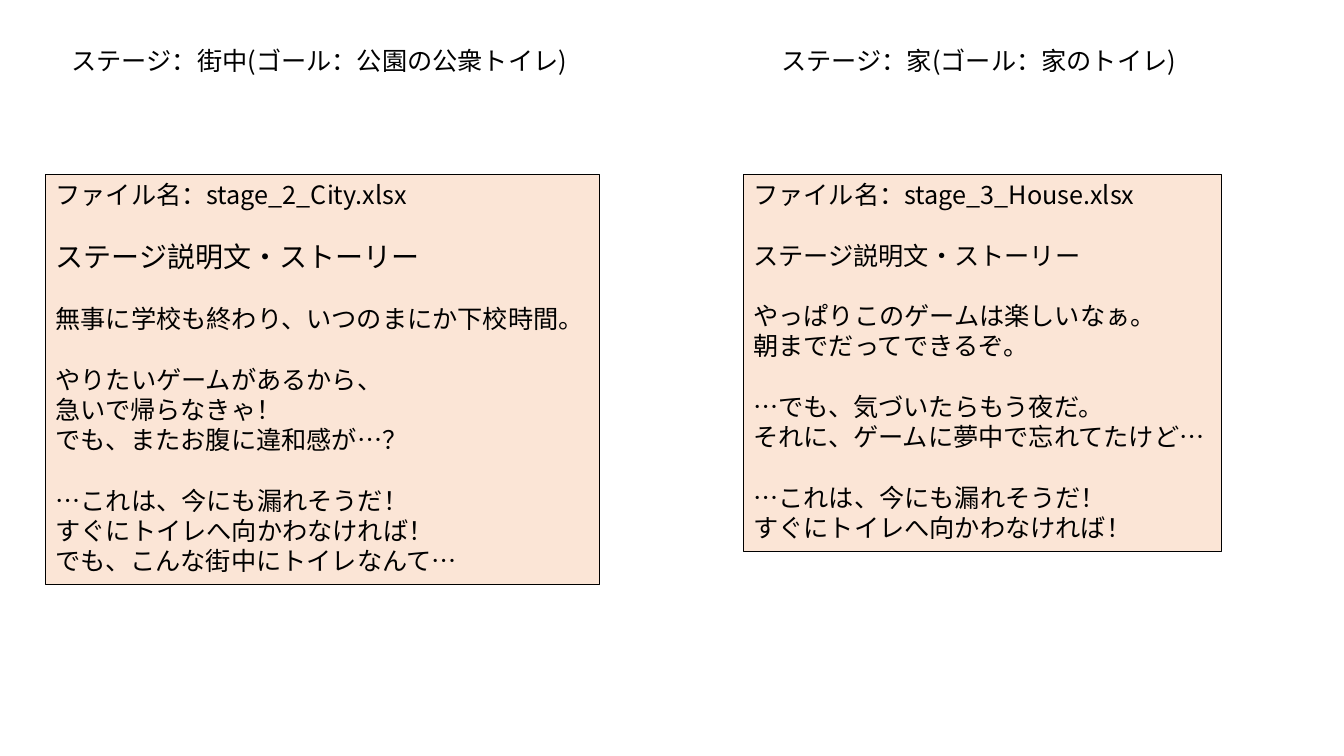
from pptx import Presentation, util as u
from pptx.dml.color import RGBColor
from pptx.enum import text
from pptx.oxml.ns import qn
from lxml import etree

FONT = "Noto Sans CJK JP"
INK, PEACH = "000000", "FBE5D6"
SIZE, LEAD = 18, 1.2

# Each story is a list of blocks; a block is (size, lines).
STAGES = [
    {
        "head": "ステージ：街中(ゴール：公園の公衆トイレ)",
        "head_at": (0.61, 0.4, 5.19, 0.4),
        "box_at": (0.45, 1.73, 5.5, 4.07),
        "story": [
            (SIZE, ["ファイル名：stage_2_City.xlsx"]),
            (20, ["ステージ説明文・ストーリー"]),
            (SIZE, ["無事に学校も終わり、いつのまにか下校時間。"]),
            (SIZE, ["やりたいゲームがあるから、",
                    "急いで帰らなきゃ！",
                    "でも、またお腹に違和感が…？"]),
            (SIZE, ["…これは、今にも漏れそうだ！",
                    "すぐにトイレへ向かわなければ！",
                    "でも、こんな街中にトイレなんて…"]),
        ],
    },
    {
        "head": "ステージ：家(ゴール：家のトイレ)",
        "head_at": (7.65, 0.4, 4.18, 0.4),
        "box_at": (7.37, 1.73, 4.75, 3.74),
        "story": [
            (SIZE, ["ファイル名：stage_3_House.xlsx"]),
            (SIZE, ["ステージ説明文・ストーリー"]),
            (SIZE, ["やっぱりこのゲームは楽しいなぁ。",
                    "朝までだってできるぞ。"]),
            (SIZE, ["…でも、気づいたらもう夜だ。",
                    "それに、ゲームに夢中で忘れてたけど…"]),
            (SIZE, ["…これは、今にも漏れそうだ！",
                    "すぐにトイレへ向かわなければ！"]),
        ],
    },
]


def color(code):
    return RGBColor.from_string(code)


def place(shape, at):
    shape.left, shape.top, shape.width, shape.height = map(u.Inches, at)


def write(shape, blocks):
    """Fill the shape with blocks of lines, one line's height between blocks."""
    frame = shape.text_frame
    frame.word_wrap = True
    frame.auto_size = text.MSO_AUTO_SIZE.NONE
    frame.vertical_anchor = text.MSO_ANCHOR.TOP
    rows = [(line, size, i > 0 and j == 0)
            for i, (size, lines) in enumerate(blocks)
            for j, line in enumerate(lines)]
    for n, (line, size, gap) in enumerate(rows):
        para = frame.add_paragraph() if n else frame.paragraphs[0]
        para.alignment = text.PP_ALIGN.LEFT
        para.line_spacing = u.Pt(size * LEAD)
        para.space_before = u.Pt(SIZE * LEAD if gap else 0)
        para.space_after = u.Pt(0)
        props = para._p.get_or_add_pPr()
        props.set("marL", "0")
        props.set("indent", "0")
        etree.SubElement(props, qn("a:buNone"))
        run = para.add_run()
        run.text = line
        font = run.font
        font.name, font.size, font.bold = FONT, u.Pt(size), False
        font.color.rgb = color(INK)
        east = etree.SubElement(run._r.get_or_add_rPr(), qn("a:ea"))
        east.set("typeface", FONT)


deck = Presentation()
deck.slide_width, deck.slide_height = u.Inches(13.33), u.Inches(7.5)
slide = deck.slides.add_slide(deck.slide_layouts.get_by_name("Comparison"))
title, *slots = slide.placeholders
title.element.getparent().remove(title.element)

for stage, head, box in zip(STAGES, slots[::2], slots[1::2]):
    place(head, stage["head_at"])
    write(head, [(SIZE, [stage["head"]])])
    place(box, stage["box_at"])
    box.fill.solid()
    box.fill.fore_color.rgb = color(PEACH)
    box.line.color.rgb = color(INK)
    box.line.width = u.Pt(0.75)
    write(box, stage["story"])

for spare in slots[4:]:
    spare.element.getparent().remove(spare.element)

deck.save("out.pptx")
